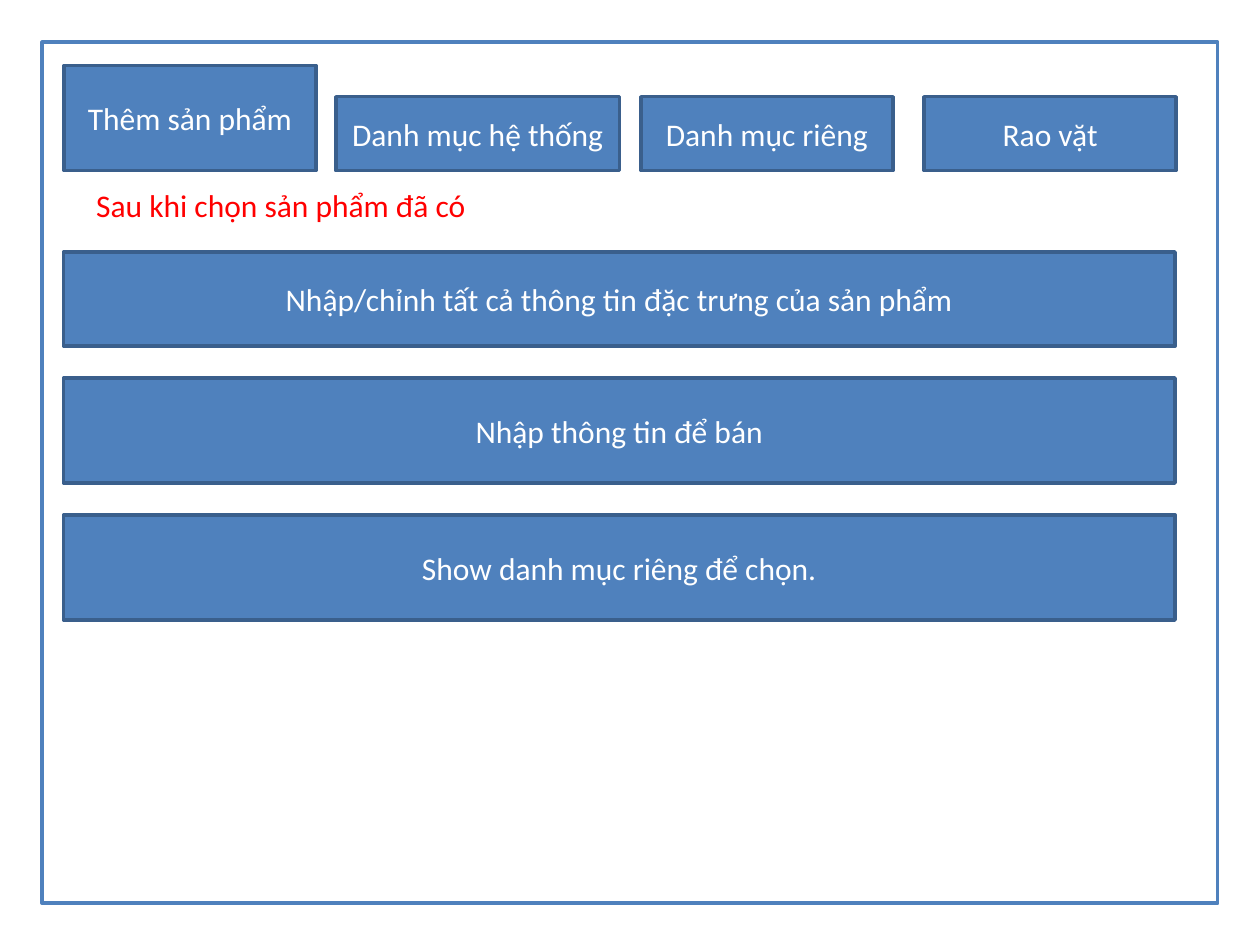
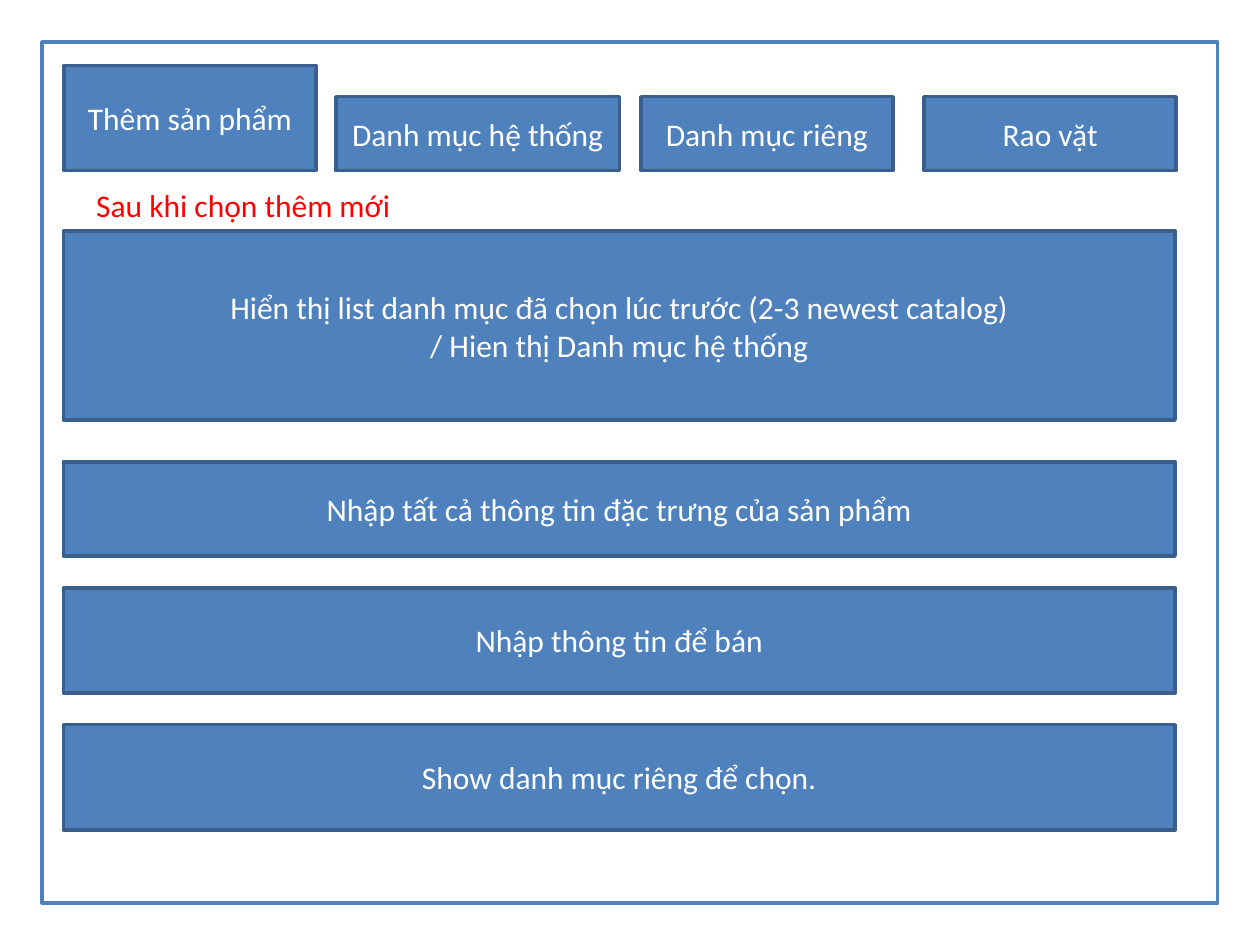
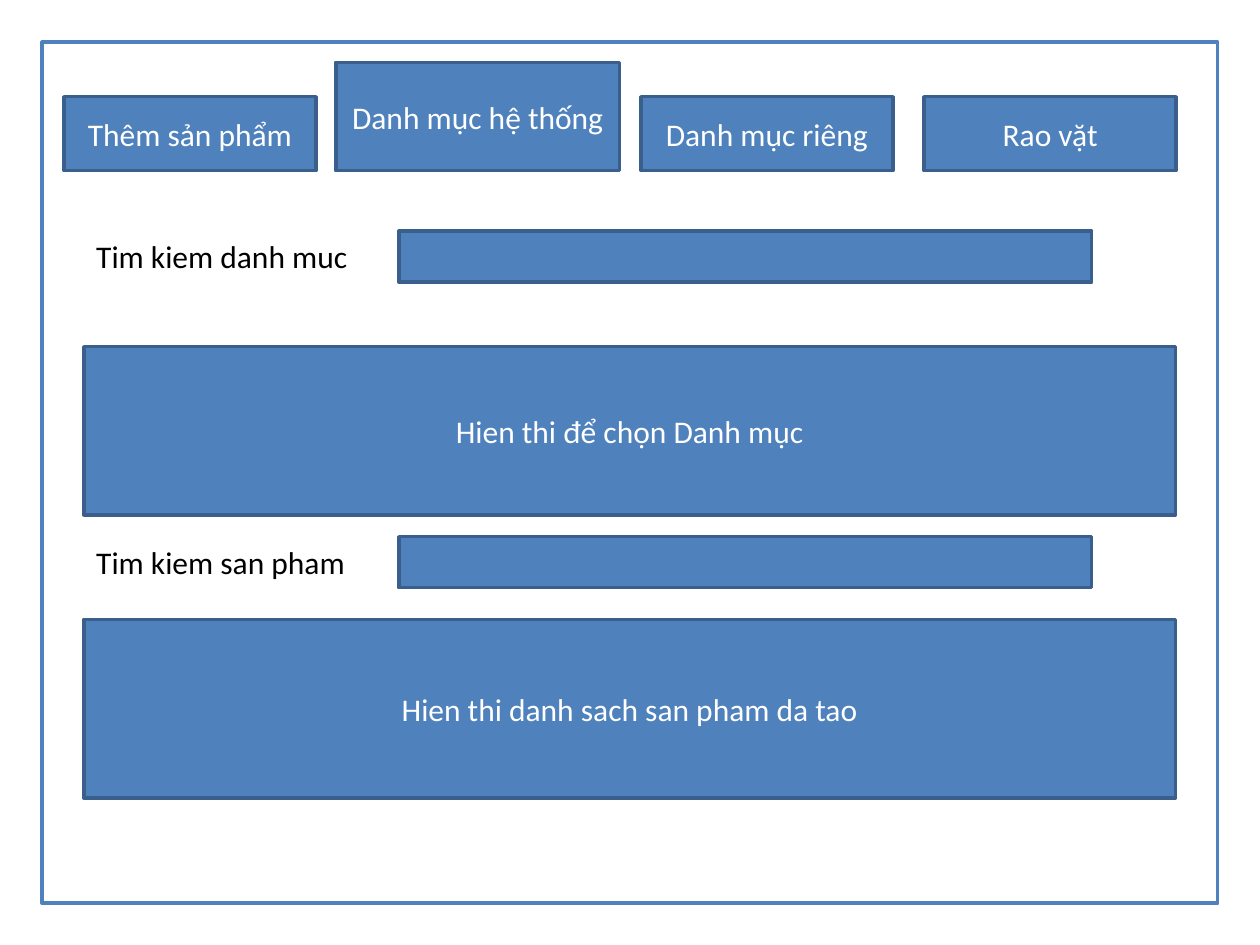
from dataclasses import dataclass

from pptx import Presentation
from pptx import util as u
from pptx.dml.color import RGBColor
from pptx.enum import shapes, text


@dataclass(frozen=True)
class Theme:
    font: str = "Calibri"
    size: int = 18
    line_width: int = 2
    paper: str = "FFFFFF"
    fill: str = "4F81BD"
    outline: str = "3A5F8C"
    light: str = "FFFFFF"
    dark: str = "000000"
    note: str = "FF0000"


THEME = Theme()

# Content: lengths in centimetres
FRAME = (0.85, 0.85, 23.7, 17.36)
TABS = [  # label, left, width
    ("Thêm sản phẩm", 1.29, 5.08),
    ("Danh mục hệ thống", 6.77, 5.72),
    ("Danh mục riêng", 12.92, 5.08),
    ("Rao vặt", 18.63, 5.08),
]
TAB_BOTTOM, TAB_HEIGHT = 3.44, 1.49
SELL = "Nhập thông tin để bán"
CATALOG = "Show danh mục riêng để chọn."
FORMS = [  # note, picker text, top of steps, steps
    ("Sau khi chọn sản phẩm đã có", None, 5.08,
     ["Nhập/chỉnh tất cả thông tin đặc trưng của sản phẩm", SELL, CATALOG]),
    ("Sau khi chọn thêm mới",
     "Hiển thị list danh mục đã chọn lúc trước (2-3 newest catalog)\n"
     "/ Hien thị Danh mục hệ thống", 9.31,
     ["Nhập tất cả thông tin đặc trưng của sản phẩm", SELL, CATALOG]),
]
STEP_HEIGHTS, STEP_GAP = (1.9, 2.12, 2.12), 0.64
STEP_LEFT, STEP_WIDTH = 1.28, 22.41
PICKER_TOP, PICKER_HEIGHT = 4.66, 3.81
SEARCHES = [  # label, search top, results text, results top, results height
    ("Tim kiem danh muc", 4.66, "Hien thi để chọn Danh mục", 6.99, 3.39),
    ("Tim kiem san pham", 10.82, "Hien thi danh sach san pham da tao", 12.49, 3.6),
]
LABEL_LEFT, LINE_HEIGHT = 1.69, 1.03


def write(frame, content, color, align):
    frame.word_wrap = True
    frame.text = content
    for para in frame.paragraphs:
        para.alignment = align
        for span in para.runs:
            span.font.name = THEME.font
            span.font.size = u.Pt(THEME.size)
            span.font.color.rgb = RGBColor.from_string(color)


def add_box(page, left, top, width, height, content="",
            fill=THEME.fill, outline=THEME.outline):
    box = page.shapes.add_shape(shapes.MSO_SHAPE.RECTANGLE,
                                *map(u.Cm, (left, top, width, height)))
    box.shadow.inherit = False
    box.fill.solid()
    box.fill.fore_color.rgb = RGBColor.from_string(fill)
    box.line.color.rgb = RGBColor.from_string(outline)
    box.line.width = u.Pt(THEME.line_width)
    if content:
        box.text_frame.vertical_anchor = text.MSO_ANCHOR.MIDDLE
        write(box.text_frame, content, THEME.light, text.PP_ALIGN.CENTER)


def add_label(page, top, width, content, color):
    box = page.shapes.add_textbox(*map(u.Cm, (LABEL_LEFT, top, width, LINE_HEIGHT)))
    write(box.text_frame, content, color, text.PP_ALIGN.LEFT)
    box.text_frame.auto_size = text.MSO_AUTO_SIZE.SHAPE_TO_FIT_TEXT


def add_page(deck, active, active_height):
    """Blank page with the outer frame and tabs; the active tab is taller."""
    page = deck.slides.add_slide(deck.slide_layouts[6])
    add_box(page, *FRAME, fill=THEME.paper, outline=THEME.fill)
    for index, (label, left, width) in enumerate(TABS):
        height = active_height if index == active else TAB_HEIGHT
        add_box(page, left, TAB_BOTTOM - height, width, height, label)
    return page


deck = Presentation()
deck.slide_width, deck.slide_height = u.Cm(25.4), u.Cm(19.05)

# Product forms: note, optional picker, stacked steps
for note, picker, top, steps in FORMS:
    page = add_page(deck, active=0, active_height=2.12)
    if picker:
        add_box(page, STEP_LEFT, PICKER_TOP, STEP_WIDTH, PICKER_HEIGHT, picker)
    add_label(page, 3.63, 9.1, note, THEME.note)
    for step, height in zip(steps, STEP_HEIGHTS):
        add_box(page, STEP_LEFT, top, STEP_WIDTH, height, step)
        top += height + STEP_GAP

# System catalog: search fields, each with its results
page = add_page(deck, active=1, active_height=2.18)
for label, top, results, results_top, results_height in SEARCHES:
    add_label(page, top, 5.72, label, THEME.dark)
    add_box(page, 8.04, top, 13.97, LINE_HEIGHT)
    add_box(page, LABEL_LEFT, results_top, 22.01, results_height, results)

deck.save("out.pptx")
